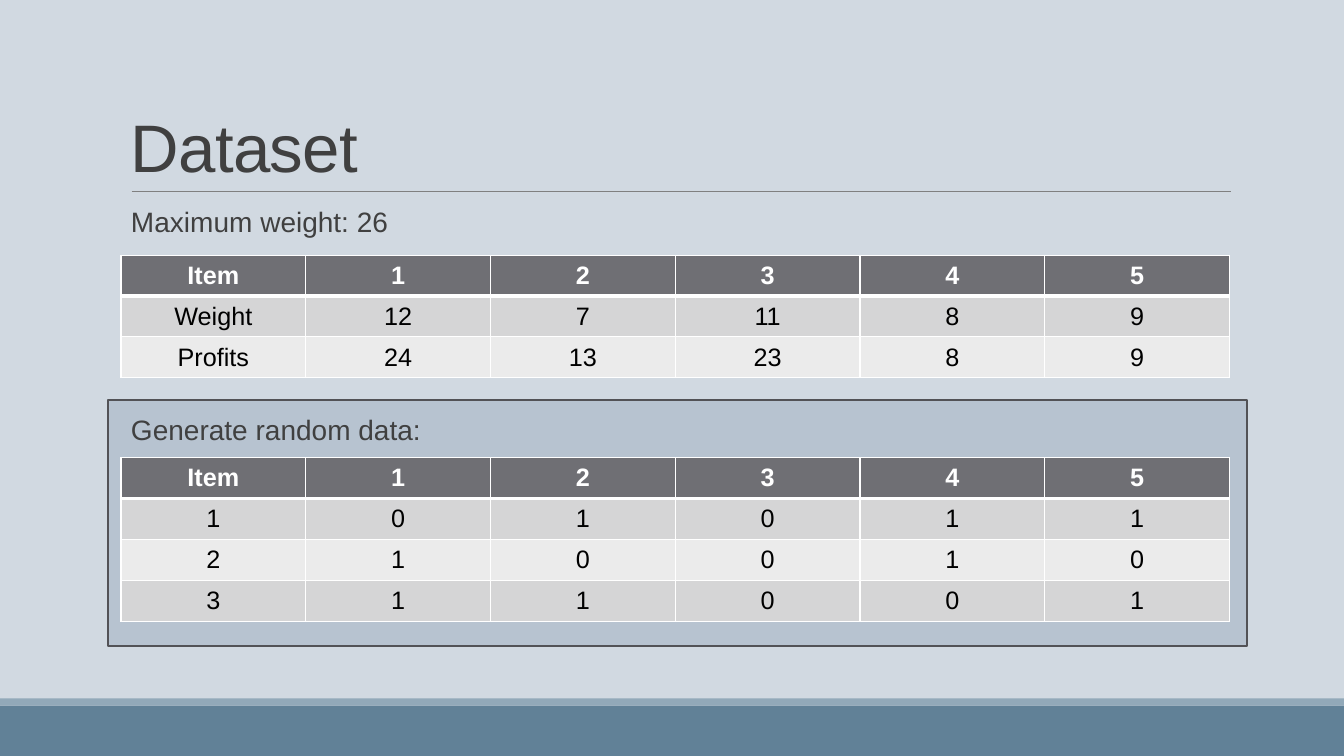
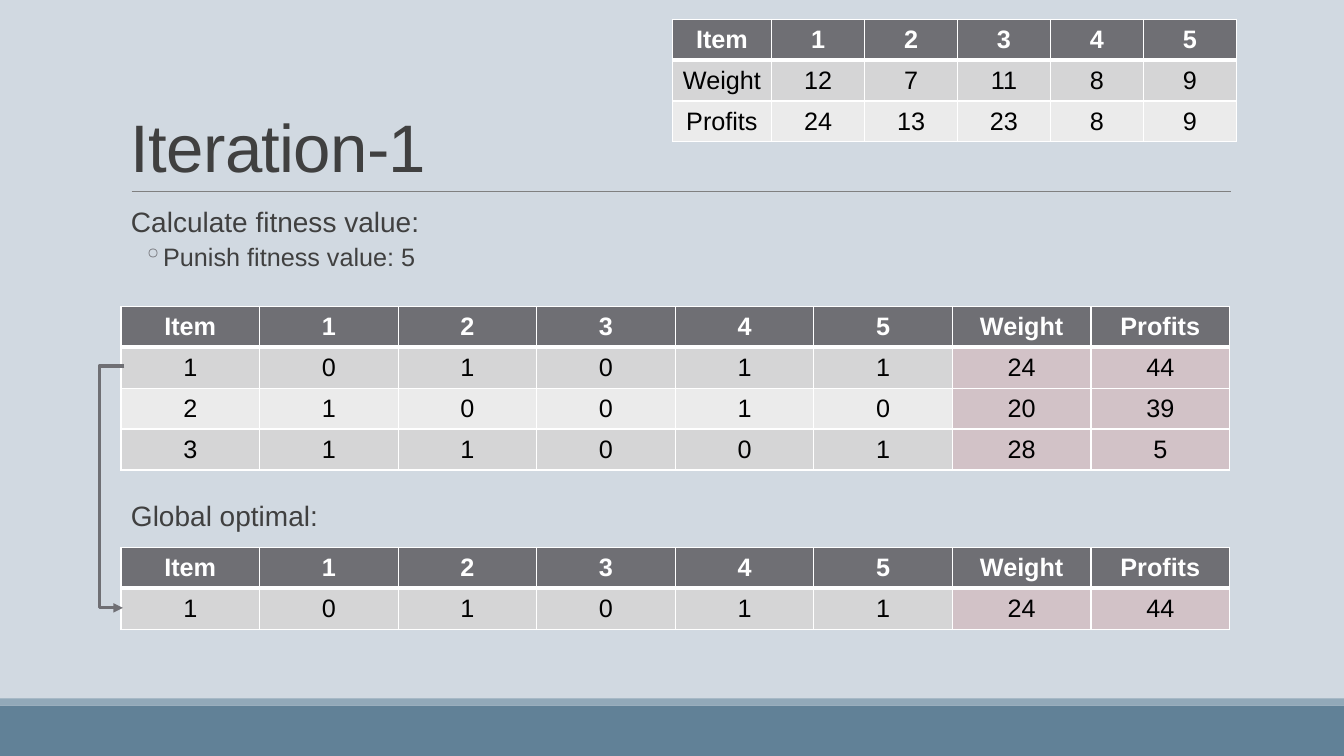
import pptx
import pptx.dml.color
import pptx.enum.shapes
import pptx.enum.text
import pptx.oxml
import pptx.oxml.ns
import pptx.util

Pt = pptx.util.Pt
RGBColor = pptx.dml.color.RGBColor
ANCHOR = pptx.enum.text.MSO_ANCHOR
ALIGN = pptx.enum.text.PP_ALIGN
CONNECTOR = pptx.enum.shapes.MSO_CONNECTOR

BACKGROUND = RGBColor(0xD1, 0xD9, 0xE1)
BAND = RGBColor(0x61, 0x81, 0x97)
BAND_EDGE = RGBColor(0x92, 0xA9, 0xB9)
RULE = RGBColor(0x80, 0x80, 0x80)
PANEL = RGBColor(0xB7, 0xC3, 0xD0)
OUTLINE = RGBColor(0x52, 0x52, 0x56)
INK = RGBColor(0x40, 0x40, 0x40)
HEADER = RGBColor(0x6F, 0x6F, 0x74)
ROW_DARK = RGBColor(0xD5, 0xD5, 0xD6)
ROW_LIGHT = RGBColor(0xEB, 0xEB, 0xEB)
RESULT = RGBColor(0xD2, 0xC2, 0xC7)
WHITE = RGBColor(0xFF, 0xFF, 0xFF)
BLACK = RGBColor(0, 0, 0)

FONT = "Arial"
LEFT = 86.4
CONTENT_WIDTH = 792
ROW_HEIGHT = 29.2

ITEMS = ["Item", "1", "2", "3", "4", "5"]
SCORES = ["Weight", "Profits"]
DATASET = [
    ITEMS,
    ["Weight", "12", "7", "11", "8", "9"],
    ["Profits", "24", "13", "23", "8", "9"],
]
CANDIDATES = [
    ["1", "0", "1", "0", "1", "1"],
    ["2", "1", "0", "0", "1", "0"],
    ["3", "1", "1", "0", "0", "1"],
]
FITNESS = [["24", "44"], ["20", "39"], ["28", "5"]]


def add_xml(parent, markup):
    namespace = pptx.oxml.ns.nsdecls("a")
    element = pptx.oxml.parse_xml(markup.replace(" ", f" {namespace} ", 1))
    parent.append(element)


def write_text(para, text, size=20, color=INK, bold=False, align=ALIGN.LEFT,
               line=None, before=0, after=0, tracking=None):
    para.alignment = align
    para.line_spacing = line
    para.space_before = Pt(before)
    para.space_after = Pt(after)
    span = para.add_run()
    span.text = text
    span.font.name = FONT
    span.font.size = Pt(size)
    span.font.bold = bold
    span.font.color.rgb = color
    if tracking is not None:
        span.font._element.set("spc", str(round(tracking * 100)))


def add_text_box(page, top, height, anchor=ANCHOR.TOP):
    box = page.shapes.add_textbox(Pt(LEFT), Pt(top), Pt(CONTENT_WIDTH), Pt(height))
    frame = box.text_frame
    frame.word_wrap = True
    frame.vertical_anchor = anchor
    return frame


def add_heading(page, text, top, height):
    frame = add_text_box(page, top, height)
    frame.margin_left = frame.margin_right = 0
    para = frame.paragraphs[0]
    para._p.get_or_add_pPr().set("marL", str(Pt(7.2)))
    write_text(para, text, line=0.9, before=12, after=2)
    return frame


def add_bullet(frame, text):
    para = frame.add_paragraph()
    write_text(para, text, size=18, line=0.9, before=2, after=4)
    settings = para._p.get_or_add_pPr()
    settings.set("marL", str(Pt(30.2)))
    settings.set("indent", str(Pt(-14.4)))
    add_xml(settings, f'<a:buClr ><a:srgbClr val="{HEADER}"/></a:buClr>')
    add_xml(settings, '<a:buChar char="◦"/>')


def add_rectangle(page, left, top, width, height, fill, outline=None):
    box = page.shapes.add_shape(pptx.enum.shapes.MSO_SHAPE.RECTANGLE,
                                Pt(left), Pt(top), Pt(width), Pt(height))
    box.shadow.inherit = False
    box.fill.solid()
    box.fill.fore_color.rgb = fill
    if outline is None:
        box.line.fill.background()
    else:
        box.line.color.rgb = outline
        box.line.width = Pt(1.25)


def add_line(page, kind, start, end, color, width):
    line = page.shapes.add_connector(kind, *(Pt(value) for value in start + end))
    line.line.color.rgb = color
    line.line.width = Pt(width)
    add_xml(line._element.spPr, "<a:effectLst />")
    return line


def add_elbow_arrow(page, start, end, bend):
    arrow = add_line(page, CONNECTOR.ELBOW, start, end, HEADER, 2.25)
    add_xml(arrow.line._get_or_add_ln(), '<a:tailEnd type="triangle"/>')
    geometry = arrow._element.spPr.find(pptx.oxml.ns.qn("a:prstGeom"))
    for child in list(geometry):
        geometry.remove(child)
    add_xml(geometry, f'<a:avLst ><a:gd name="adj1" fmla="val {bend * 100000}"/></a:avLst>')


def style_cell(cell, text, row, fill):
    is_header = row == 0
    widths = {"L": 1, "R": 1, "T": 3 if row == 1 else 1, "B": 3 if is_header else 1}
    settings = cell._tc.get_or_add_tcPr()
    for side, width in widths.items():
        add_xml(settings, f'<a:ln{side} w="{Pt(width)}"><a:solidFill>'
                          f'<a:srgbClr val="{WHITE}"/></a:solidFill></a:ln{side}>')
    cell.fill.solid()
    cell.fill.fore_color.rgb = fill
    cell.vertical_anchor = ANCHOR.MIDDLE
    write_text(cell.text_frame.paragraphs[0], text, size=18, bold=is_header,
               color=WHITE if is_header else BLACK, align=ALIGN.CENTER)


def add_grid(page, rows, top, left=LEFT, widths=None):
    count = len(rows[0])
    widths = widths or [CONTENT_WIDTH / count] * count
    table = page.shapes.add_table(len(rows), count, Pt(left), Pt(top), Pt(sum(widths)),
                                  Pt(ROW_HEIGHT * len(rows))).table
    for column, width in zip(table.columns, widths):
        column.width = Pt(width)
    for row, values in enumerate(rows):
        table.rows[row].height = Pt(ROW_HEIGHT)
        for column, text in enumerate(values):
            if row == 0:
                fill = HEADER
            elif column >= len(ITEMS):
                fill = RESULT
            else:
                fill = ROW_DARK if row % 2 else ROW_LIGHT
            style_cell(table.cell(row, column), text, row, fill)


def add_page(deck, title):
    page = deck.slides.add_slide(deck.slide_layouts[6])
    page.background.fill.solid()
    page.background.fill.fore_color.rgb = BACKGROUND
    add_rectangle(page, 0, 504, 960, 36, BAND)
    add_rectangle(page, 0, 498.8, 960, 5.2, BAND_EDGE)
    add_line(page, CONNECTOR.STRAIGHT, (94, 136.8), (879, 136.8), RULE, 0.5)
    frame = add_text_box(page, 22.5, 114.3, ANCHOR.BOTTOM)
    write_text(frame.paragraphs[0], title, size=48, line=0.85, tracking=-0.5)
    return page


def add_dataset_page(deck):
    page = add_page(deck, "Dataset")
    add_rectangle(page, 77, 285.8, 813.6, 175.7, PANEL, OUTLINE)
    add_heading(page, "Maximum weight: 26", 145.4, 124.6)
    add_grid(page, DATASET, 182.2)
    add_grid(page, [ITEMS] + CANDIDATES, 326.9)
    add_heading(page, "Generate random data:", 293.8, 203.8)


def add_iteration_page(deck):
    page = add_page(deck, "Iteration-1")
    frame = add_heading(page, "Calculate fitness value:", 145.4, 124.6)
    add_bullet(frame, "Punish fitness value: 5")
    scored = [ITEMS + SCORES]
    scored += [genes + result for genes, result in zip(CANDIDATES, FITNESS)]
    add_grid(page, scored, 218.9)
    add_grid(page, DATASET, 13.7, left=480.2, widths=[71] + [66.4] * 5)
    add_heading(page, "Global optimal:", 355, 142.6)
    add_grid(page, scored[:2], 391)
    add_elbow_arrow(page, (88.8, 261.4), (87.8, 434.2), 18)


def main():
    deck = pptx.Presentation()
    deck.slide_width = Pt(960)
    deck.slide_height = Pt(540)
    add_dataset_page(deck)
    add_iteration_page(deck)
    deck.save("out.pptx")


main()
